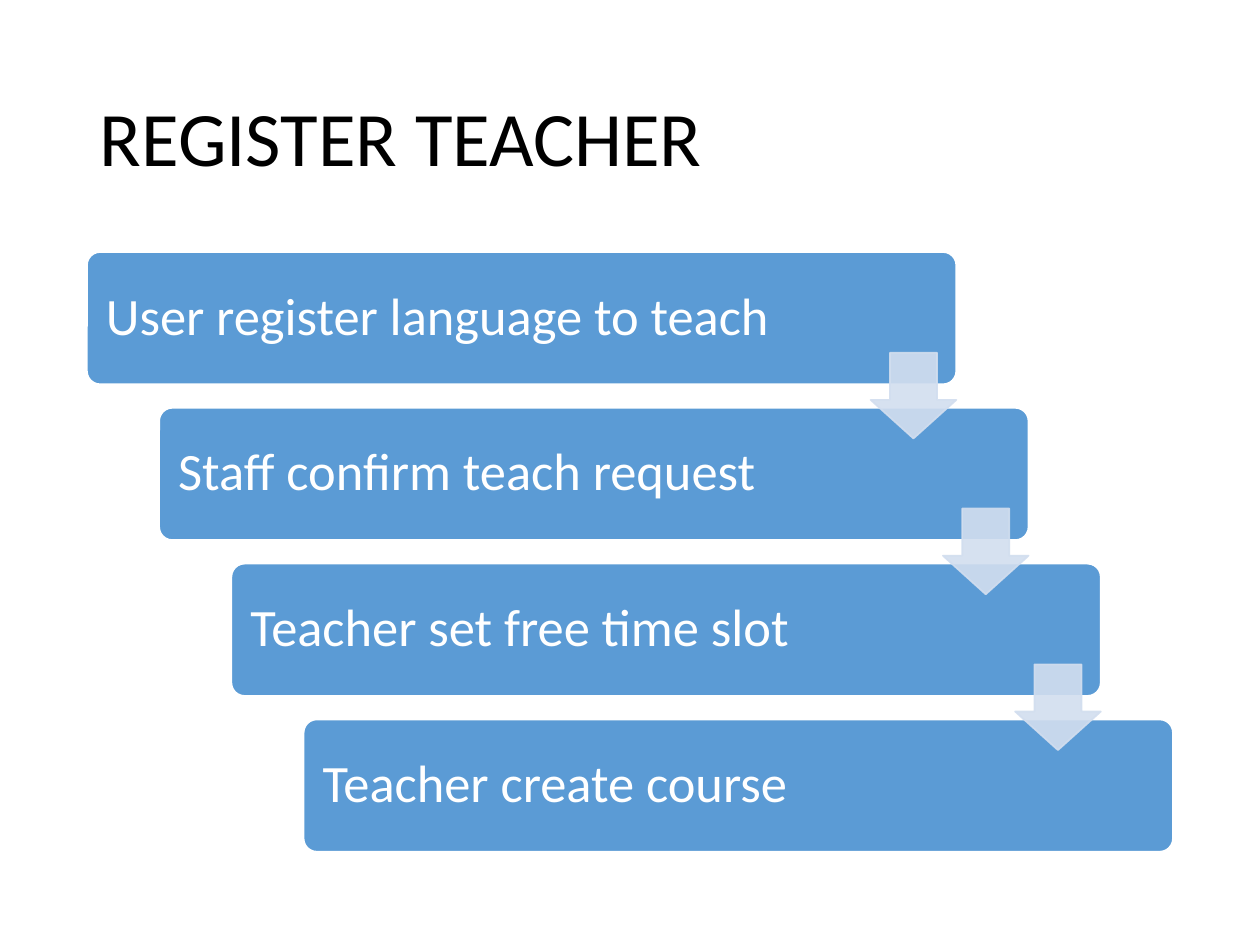
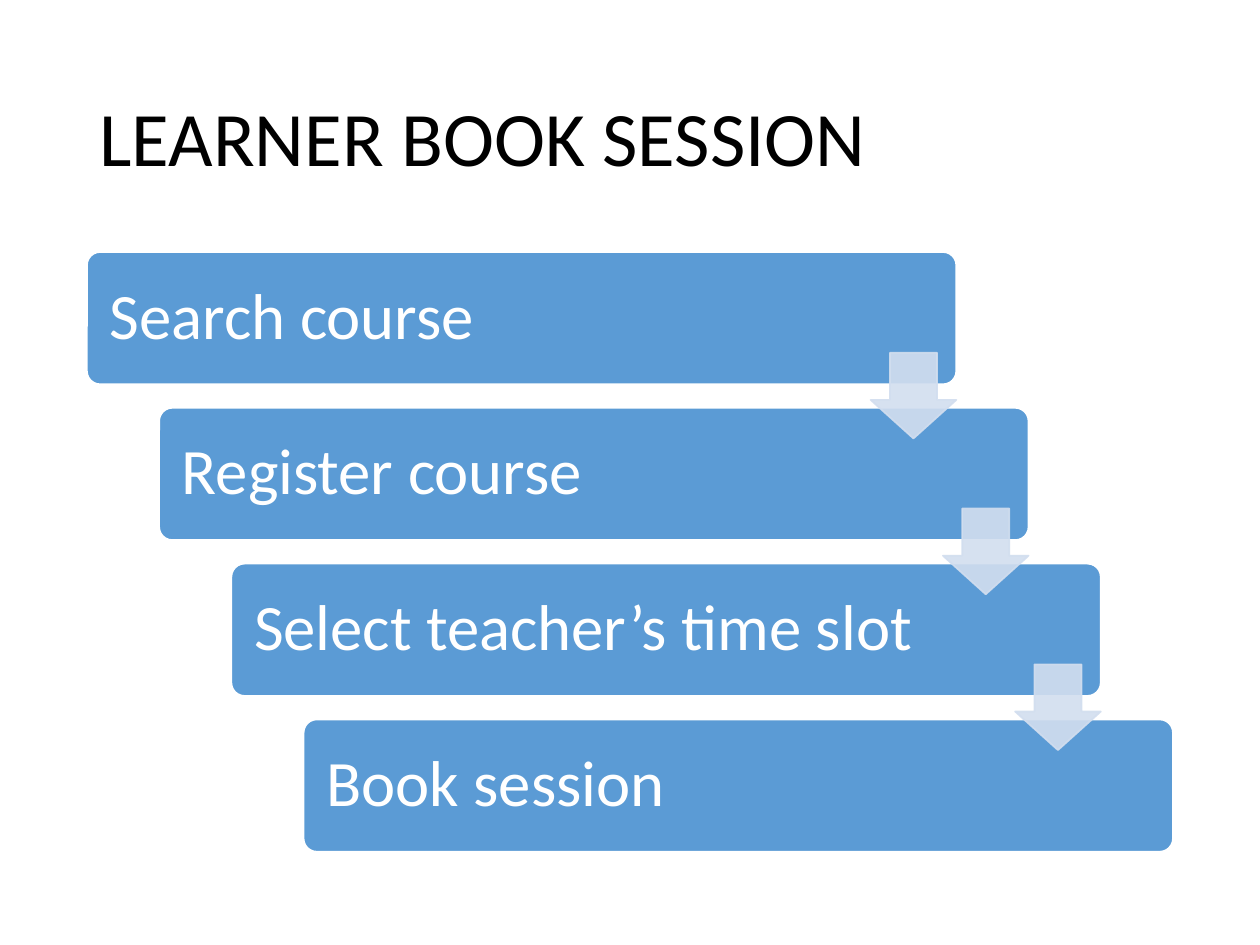
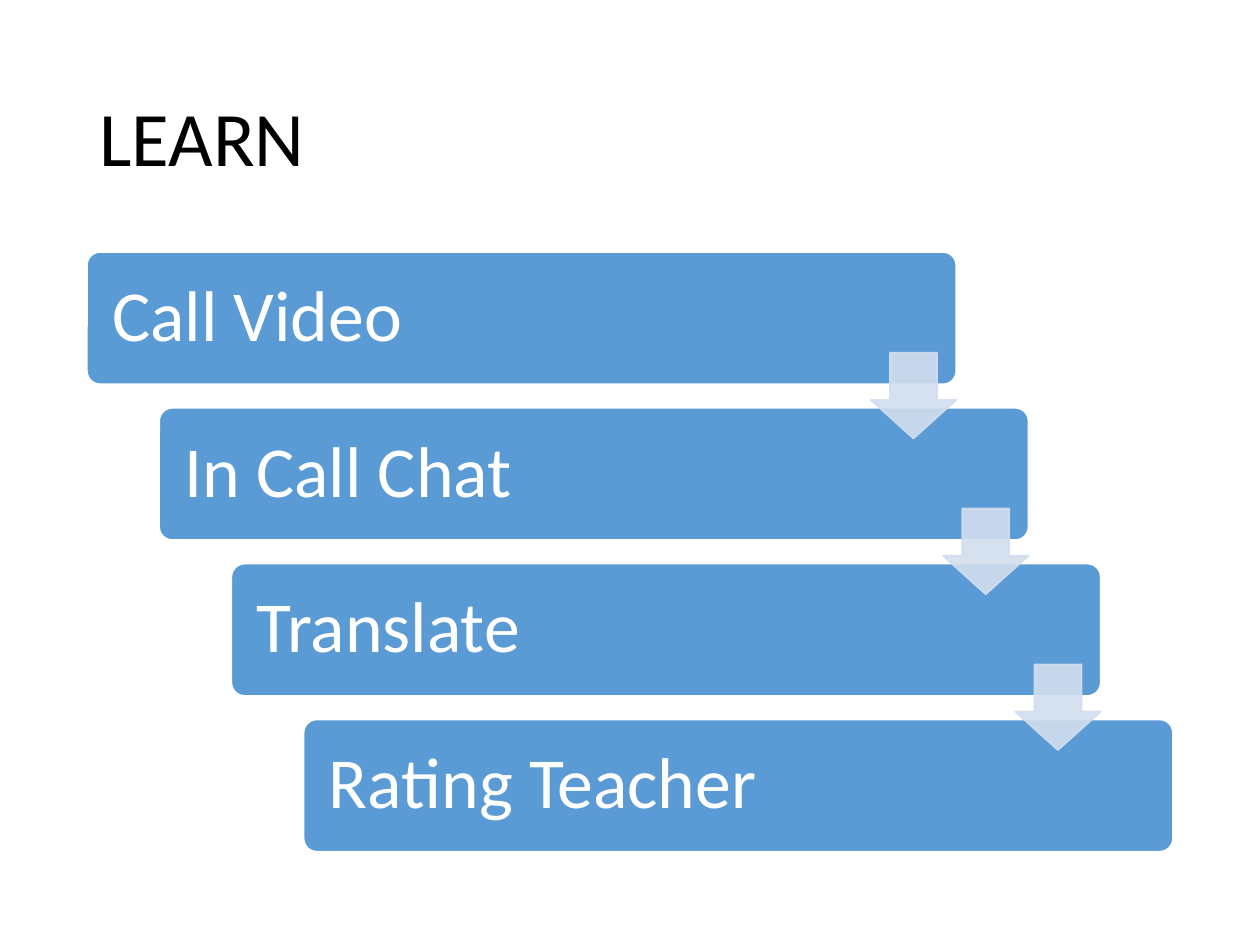
from lxml import etree
from pptx import Presentation
from pptx.dml.color import RGBColor
from pptx.enum.shapes import MSO_SHAPE
from pptx.enum.text import MSO_ANCHOR, PP_ALIGN
from pptx.oxml.ns import qn
from pptx.util import Inches, Pt

ROUNDED = MSO_SHAPE.ROUNDED_RECTANGLE
DOWN_ARROW = MSO_SHAPE.DOWN_ARROW
MIDDLE = MSO_ANCHOR.MIDDLE
LEFT = PP_ALIGN.LEFT

FONT = "Calibri"
BLACK, WHITE = "000000", "FFFFFF"
STEP_BLUE, ARROW_BLUE = "5B9BD5", "D2DEEF"
ARROW_OPACITY = 90

MARGIN, CONTENT_WIDTH = 0.69, 8.62
STEPS_TOP, STEPS_HEIGHT = 2, 4.76
STEP_WIDTH, STEP_HEIGHT = 6.9, 1.05
ARROW_SIZE, ARROW_DROP = 0.68, 0.8

# title, text size, text inset, steps
PROCESSES = [
    ("REGISTER TEACHER", 30, 0.12,
     ["User register language to teach", "Staff confirm teach request",
      "Teacher set free time slot", "Teacher create course"]),
    ("LEARNER BOOK SESSION", 37, 0.15,
     ["Search course", "Register course",
      "Select teacher’s time slot", "Book session"]),
    ("LEARN", 41, 0.17,
     ["Call Video", "In Call Chat", "Translate", "Rating Teacher"]),
]


def style_text(text_frame, text, size, color):
    text_frame.text = text
    text_frame.word_wrap = True
    text_frame.vertical_anchor = MIDDLE
    paragraph = text_frame.paragraphs[0]
    paragraph.alignment = LEFT
    paragraph.line_spacing = 0.9
    font = paragraph.runs[0].font
    font.name = FONT
    font.size = Pt(size)
    font.color.rgb = RGBColor.from_string(color)


def add_block(slide, kind, left, top, width, height, adjustments, fill, line):
    shape = slide.shapes.add_shape(
        kind, Inches(left), Inches(top), Inches(width), Inches(height))
    for index, value in enumerate(adjustments):
        shape.adjustments[index] = value
    shape.shadow.inherit = False
    shape.fill.solid()
    shape.fill.fore_color.rgb = RGBColor.from_string(fill)
    shape.line.color.rgb = RGBColor.from_string(line)
    shape.line.width = Pt(1)
    return shape


presentation = Presentation()
presentation.slide_width = Inches(10)
presentation.slide_height = Inches(7.5)
title_only = presentation.slide_layouts[5]

for title_text, text_size, inset, steps in PROCESSES:
    slide = presentation.slides.add_slide(title_only)
    title = slide.shapes.title
    title.left, title.top = Inches(MARGIN), Inches(0.4)
    title.width, title.height = Inches(CONTENT_WIDTH), Inches(1.45)
    style_text(title.text_frame, title_text, 44, BLACK)

    shift_right = (CONTENT_WIDTH - STEP_WIDTH) / (len(steps) - 1)
    shift_down = (STEPS_HEIGHT - STEP_HEIGHT) / (len(steps) - 1)
    corners = [(MARGIN + i * shift_right, STEPS_TOP + i * shift_down)
               for i in range(len(steps))]

    for step_text, (left, top) in zip(steps, corners):
        step = add_block(slide, ROUNDED, left, top, STEP_WIDTH, STEP_HEIGHT,
                         [0.1], STEP_BLUE, WHITE)
        text_frame = step.text_frame
        text_frame.margin_left = text_frame.margin_right = Inches(inset)
        text_frame.margin_top = text_frame.margin_bottom = Inches(inset)
        style_text(text_frame, step_text, text_size, WHITE)

    for left, top in corners[:-1]:
        arrow = add_block(slide, DOWN_ARROW, left + STEP_WIDTH - ARROW_SIZE,
                          top + ARROW_DROP, ARROW_SIZE, ARROW_SIZE,
                          [0.55, 0.45], ARROW_BLUE, ARROW_BLUE)
        # The arrow's fill and outline share one opacity
        for color in arrow.element.spPr.iter(qn("a:srgbClr")):
            etree.SubElement(color, qn("a:alpha"), val=str(ARROW_OPACITY * 1000))

        # The preset lists the shaft width first, then the head length

presentation.save("out.pptx")
